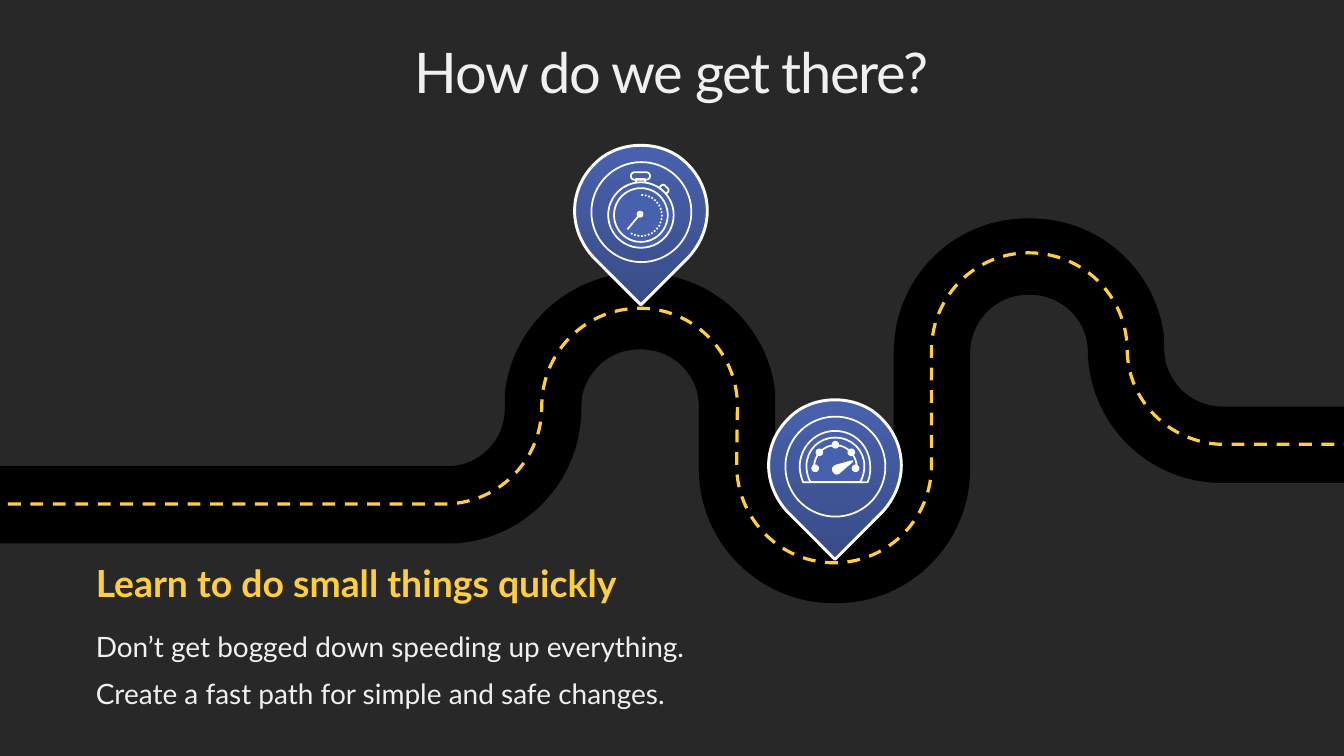
import pptx
import pptx.util
import pptx.dml.color
import pptx.enum.dml
import pptx.enum.shapes
import pptx.enum.text
import pptx.oxml.ns
from lxml import etree
from dataclasses import dataclass

Inches = pptx.util.Inches
Pt = pptx.util.Pt
Shape = pptx.enum.shapes.MSO_SHAPE
Dash = pptx.enum.dml.MSO_LINE
AutoSize = pptx.enum.text.MSO_AUTO_SIZE
qn = pptx.oxml.ns.qn


@dataclass(frozen=True)
class Theme:
    background: str = "282828"
    road: str = "000000"
    yellow: str = "FFCE3F"
    text: str = "F0F0F0"
    white: str = "FFFFFF"
    blue: str = "4861AD"
    deep_blue: str = "384C87"
    font: str = "Lato"
    title_size: int = 48
    heading_size: int = 32
    body_size: int = 24
    icon_line: float = 1.5
    pin_line: float = 2.5
    lane_line: float = 2.75


THEME = Theme()

# Outlines use M, L, C and Z with inches from the corner of their box
ROAD = """M 12.23 2.6 L 12.27 2.6 C 13.1 2.6 13.78 3.23 13.86 4.03 L 13.86 4.15
C 13.86 4.53 14.17 4.84 14.55 4.84 L 22.29 4.84 L 22.29 5.75 L 14.55 5.75
C 13.66 5.75 12.95 5.03 12.95 4.15 L 12.94 4.06 C 12.88 3.75 12.6 3.51 12.27 3.51
L 12.23 3.51 C 11.86 3.51 11.55 3.82 11.55 4.2 L 11.55 5.58
C 11.55 6.46 10.84 7.18 9.96 7.18 L 9.92 7.18 C 9.04 7.18 8.32 6.46 8.32 5.58
L 8.32 4.83 L 8.31 4.71 C 8.25 4.4 7.97 4.16 7.64 4.16 L 7.6 4.16
C 7.27 4.16 7 4.4 6.93 4.71 L 6.92 4.87 C 6.92 5.75 6.21 6.47 5.33 6.47
L -2.34 6.47 L -2.34 5.55 L 5.33 5.55 C 5.7 5.55 6.01 5.25 6.01 4.87 L 6.01 4.68
C 6.1 3.88 6.78 3.25 7.6 3.25 L 7.64 3.25 C 8.47 3.25 9.15 3.88 9.23 4.68
L 9.23 5.58 C 9.23 5.96 9.54 6.27 9.92 6.27 L 9.96 6.27
C 10.33 6.27 10.64 5.96 10.64 5.58 L 10.64 4.2 C 10.64 3.31 11.35 2.6 12.23 2.6 Z"""
LANE = """M 22.3 5.29 L 14.53 5.29 C 13.91 5.26 13.42 4.76 13.42 4.16
C 13.41 3.51 12.88 3 12.23 3.01 C 11.59 3.02 11.08 3.55 11.09 4.19 L 11.09 5.52
C 11.1 6.16 10.59 6.69 9.95 6.7 C 9.31 6.71 8.78 6.2 8.77 5.55 L 8.78 4.82
C 8.77 4.18 8.24 3.66 7.6 3.67 C 6.95 3.68 6.44 4.21 6.45 4.86
C 6.44 5.5 5.91 6.01 5.27 6 L -2.34 6"""
PIN = """M 0.79 0 C 0.99 0 1.2 0.07 1.35 0.23 C 1.5 0.38 1.58 0.58 1.58 0.78
C 1.58 0.98 1.5 1.18 1.35 1.34 L 0.79 1.9 L 0.23 1.34 C 0.08 1.18 0 0.98 0 0.78
C 0 0.58 0.08 0.38 0.23 0.23 C 0.38 0.07 0.59 0 0.79 0 Z"""
GAUGE_CASE = """M 0.79 0.37 C 1.03 0.37 1.21 0.56 1.21 0.8 C 1.21 0.84 1.21 0.88 1.2 0.92
L 1.18 0.98 L 0.41 0.98 L 0.39 0.92 C 0.38 0.88 0.37 0.84 0.37 0.8
C 0.37 0.56 0.56 0.37 0.79 0.37 Z"""
GAUGE_FACE = """M 1.09 0.98 C 1.12 0.93 1.14 0.86 1.14 0.79 C 1.14 0.6 0.99 0.45 0.79 0.45
C 0.6 0.45 0.45 0.6 0.45 0.79 C 0.45 0.86 0.47 0.93 0.5 0.98 Z"""
GAUGE_NEEDLE = """M 1 0.73 L 0.85 0.86 C 0.85 0.87 0.84 0.87 0.84 0.87
C 0.81 0.89 0.78 0.88 0.77 0.85 C 0.76 0.83 0.76 0.8 0.79 0.79
C 0.79 0.78 0.8 0.78 0.81 0.78 C 0.86 0.77 0.95 0.74 1 0.73 Z"""


def rgb(color):
    return pptx.dml.color.RGBColor.from_string(color)


def paint(shape, fill=None, line=THEME.white, width=THEME.icon_line, dash=None):
    shape.shadow.inherit = False
    if fill:
        shape.fill.solid()
        shape.fill.fore_color.rgb = rgb(fill)
    else:
        shape.fill.background()
    if line:
        shape.line.color.rgb = rgb(line)
        shape.line.width = Pt(width)
        if dash:
            shape.line.dash_style = dash
    else:
        shape.line.fill.background()
    return shape


def add_outline(shapes, outline, left=0, top=0, **look):
    """Draw the points as a freeform, then turn each C triple into one curve."""
    words = iter(outline.split())
    points, curved, closed = [], [], False
    for command in words:
        closed = command == "Z"
        for _ in range({"C": 3, "Z": 0}.get(command, 1)):
            points.append((Inches(left + float(next(words))), Inches(top + float(next(words)))))
            curved.append(command == "C")
    builder = shapes.build_freeform(*points[0], scale=1.0)
    builder.add_line_segments(points[1:], close=closed)
    shape = builder.convert_to_shape()
    steps = list(shape._element.iter(qn("a:lnTo")))
    controls = [step for step, bent in zip(steps, curved[1:]) if bent]
    for index in range(0, len(controls), 3):
        curve = etree.Element(qn("a:cubicBezTo"))
        controls[index].addprevious(curve)
        for step in controls[index:index + 3]:
            curve.append(step[0])
            step.getparent().remove(step)
    return paint(shape, **look)


def add_preset(shapes, kind, box, adjust=(), turn=0, **look):
    shape = shapes.add_shape(kind, *map(Inches, box))
    for index, value in enumerate(adjust):
        shape.adjustments[index] = value
    shape.rotation = turn
    return paint(shape, **look)


def add_road(page):
    group = page.shapes.add_group_shape()
    add_outline(group.shapes, ROAD, fill=THEME.road, line=None)
    add_outline(group.shapes, LANE, line=THEME.yellow, width=THEME.lane_line, dash=Dash.DASH)


def add_pin(page, left, top, add_icon):
    group = page.shapes.add_group_shape()
    marker = add_outline(group.shapes, PIN, left, top, width=THEME.pin_line)
    marker.fill.gradient()
    marker.fill.gradient_angle = 270
    for stop, color, position in zip(marker.fill.gradient_stops, (THEME.blue, THEME.deep_blue), (0.02, 1)):
        stop.color.rgb = rgb(color)
        stop.position = position
    add_preset(group.shapes, Shape.OVAL, (left + 0.2, top + 0.2, 1.19, 1.19))
    add_icon(group.shapes.add_group_shape().shapes, left, top)


def add_gauge(shapes, left, top):
    for outline, color in ((GAUGE_CASE, THEME.blue), (GAUGE_FACE, THEME.blue)):
        add_outline(shapes, outline, left, top, fill=color)
    add_preset(shapes, Shape.ARC, (left + 0.54, top + 0.54, 0.51, 0.54), (105.573, 0))
    add_outline(shapes, GAUGE_NEEDLE, left, top, fill=THEME.white)
    # Scale dots
    for x, y in ((0.52, 0.78), (1, 0.78), (0.95, 0.59), (0.57, 0.59), (0.76, 0.5)):
        add_preset(shapes, Shape.OVAL, (left + x, top + y, 0.07, 0.07), fill=THEME.white)


def add_stopwatch(shapes, left, top):
    add_preset(shapes, Shape.RECTANGLE, (left + 0.73, top + 0.4, 0.11, 0.08))
    add_preset(shapes, Shape.ROUND_2_SAME_RECTANGLE, (left + 1, top + 0.48, 0.11, 0.11), (0.268, 0), 45)
    add_preset(shapes, Shape.OVAL, (left + 0.4, top + 0.44, 0.78, 0.78), fill=THEME.blue)
    add_preset(shapes, Shape.OVAL, (left + 0.47, top + 0.51, 0.64, 0.64))
    # Hand
    ends = (left + 0.78, top + 0.82, left + 0.63, top + 1)
    hand = shapes.add_connector(pptx.enum.shapes.MSO_CONNECTOR.STRAIGHT, *map(Inches, ends))
    hand.line.color.rgb = rgb(THEME.white)
    hand.line.width = Pt(THEME.icon_line)
    etree.SubElement(hand.line._get_or_add_ln(), qn("a:headEnd"), type="oval")
    etree.SubElement(hand._element.spPr, qn("a:effectLst"))
    # Dotted dial and cap
    add_preset(shapes, Shape.ARC, (left + 0.55, top + 0.59, 0.49, 0.49), (162, 75.073), dash=Dash.ROUND_DOT)
    add_preset(shapes, Shape.ROUNDED_RECTANGLE, (left + 0.67, top + 0.32, 0.23, 0.09), (0.5,))


def write_text(shape, box, lines, size, color, bold=False, inset=0.0, align=None, tracking=None,
               fit=AutoSize.SHAPE_TO_FIT_TEXT):
    shape.left, shape.top, shape.width, shape.height = map(Inches, box)
    frame = shape.text_frame
    frame.word_wrap = True
    frame.auto_size = fit
    frame.vertical_anchor = pptx.enum.text.MSO_ANCHOR.TOP
    frame.margin_left, frame.margin_right = Inches(inset), Inches(0.2)
    frame.margin_top = frame.margin_bottom = Inches(0.16)
    for index, line in enumerate(lines):
        para = frame.add_paragraph() if index else frame.paragraphs[0]
        para.alignment = align
        para.line_spacing = 0.9
        para.space_before = Pt(6 if index else 0)
        para.space_after = Pt(8 if fit != AutoSize.NONE else 0)
        span = para.add_run()
        span.text = line
        span.font.name, span.font.size, span.font.bold = THEME.font, Pt(size), bold
        span.font.color.rgb = rgb(color)
        if tracking:
            span.font._element.set("spc", str(tracking))


def add_roadmap_page(deck):
    page = deck.slides.add_slide(deck.slide_layouts[5])
    page.background.fill.solid()
    page.background.fill.fore_color.rgb = rgb(THEME.background)
    add_road(page)
    write_text(page.shapes.title, (0.35, 0.38, 15.29, 1.18), ["How do we get there?"], THEME.title_size,
               THEME.text, inset=0.2, align=pptx.enum.text.PP_ALIGN.CENTER, tracking=-120, fit=AutoSize.NONE)
    # Message below the road
    for box, lines, size, color, bold in (
        ((1.14, 7.38, 9.48, 1.24), ["Don’t get bogged down speeding up everything.",
                                    "Create a fast path for simple and safe changes."],
         THEME.body_size, THEME.text, False),
        ((1.14, 6.57, 7.28, 0.81), ["Learn to do small things quickly"], THEME.heading_size, THEME.yellow, True),
    ):
        write_text(page.shapes.add_textbox(*map(Inches, box)), box, lines, size, color, bold)
    add_pin(page, 9.15, 4.76, add_gauge)
    add_pin(page, 6.84, 1.73, add_stopwatch)


def main():
    deck = pptx.Presentation()
    deck.slide_width, deck.slide_height = Inches(16), Inches(9)
    add_roadmap_page(deck)
    deck.save("out.pptx")


if __name__ == "__main__":
    main()
